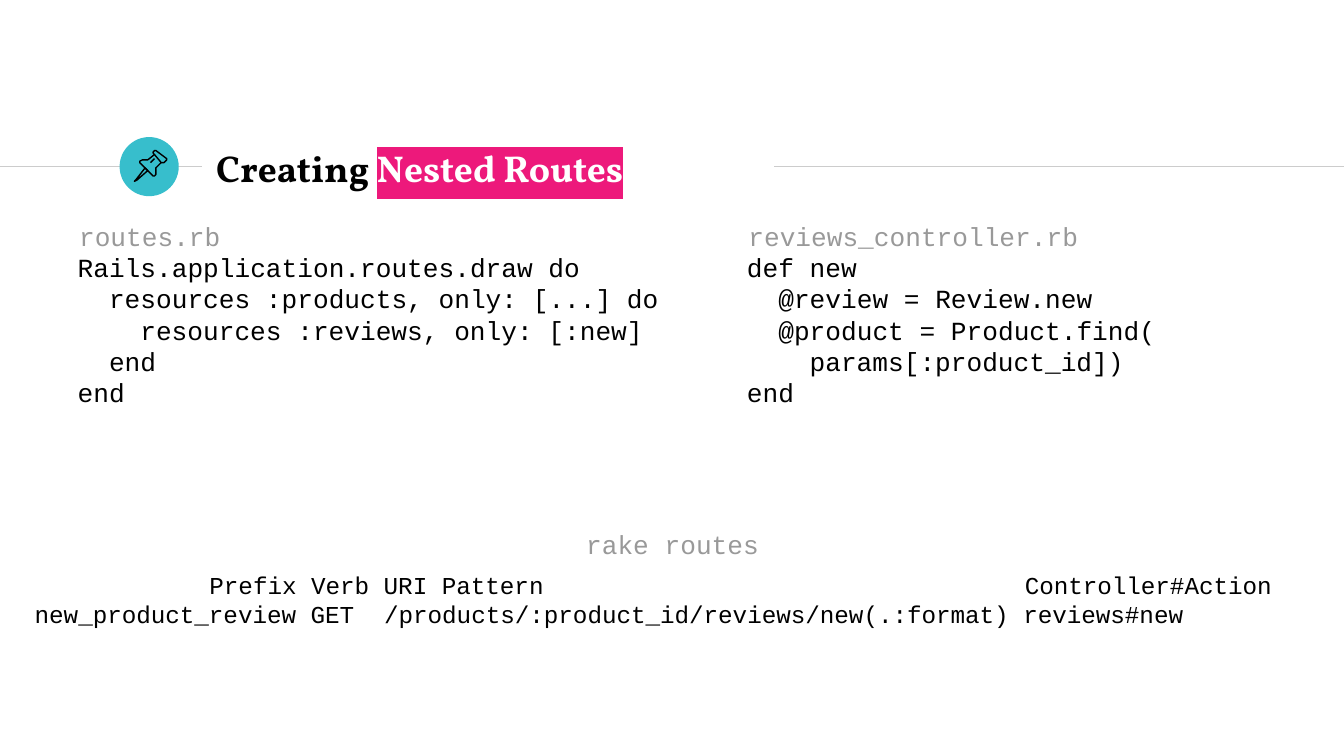
from pptx import Presentation
from pptx.dml.color import RGBColor
from pptx.enum.shapes import MSO_CONNECTOR, MSO_SHAPE
from pptx.enum.text import MSO_ANCHOR, PP_ALIGN
from pptx.oxml.ns import qn
from pptx.util import Inches, Pt
from lxml import etree

LINE, OVAL = MSO_CONNECTOR.STRAIGHT, MSO_SHAPE.OVAL
TOP, MIDDLE = MSO_ANCHOR.TOP, MSO_ANCHOR.MIDDLE
LEFT, CENTER = PP_ALIGN.LEFT, PP_ALIGN.CENTER

COLORS = {"ink": "000000", "white": "FFFFFF", "pink": "ED197B",
          "teal": "37BECC", "rule": "CCCCCC", "label": "999999"}
MONO, SERIF = "Courier New", "Vollkorn"
CHAR = 0.6  # width of a monospaced letter, as a share of its size

# Pin outlines in hundredths of an inch from the badge corner: points, closed
PIN = [
    ([(19, 23), (12, 32), (11, 33), (13, 32), (21, 25)], True),
    ([(26, 13), (31, 19), (33, 19), (35, 17), (35, 16), (27, 10), (26, 10),
      (25, 11), (25, 12)], True),
    ([(26, 13), (21, 17), (19, 17), (17, 17), (15, 18), (15, 19), (25, 29),
      (26, 29), (27, 28), (27, 24), (27, 23), (31, 19)], False),
    ([(23, 19), (26, 16)], False),
]


def rgb(name):
    return RGBColor.from_string(COLORS[name])


def add_text(slide, box, anchor=TOP):
    frame = slide.shapes.add_textbox(*map(Inches, box)).text_frame
    form = {"word_wrap": True, "vertical_anchor": anchor}
    for side in ("left", "right", "top", "bottom"):
        form["margin_" + side] = Inches(0.1)
    for key, value in form.items():
        setattr(frame, key, value)
    return frame


def add_run(para, text, size, color="ink", face=MONO, bold=False):
    run = para.add_run()
    run.text = text
    for key, value in {"size": Pt(size), "name": face, "bold": bold}.items():
        setattr(run.font, key, value)
    run.font.color.rgb = rgb(color)
    return run


def mark(run, color):
    """Put a highlight behind the run."""
    light = etree.Element(qn("a:highlight"))
    etree.SubElement(light, qn("a:srgbClr")).set("val", COLORS[color])
    run.font._element.find(qn("a:solidFill")).addnext(light)


def add_lines(frame, count):
    return [frame.paragraphs[0]] + [frame.add_paragraph()
                                    for _ in range(count - 1)]


def add_rule(slide, start, end, y):
    rule = slide.shapes.add_connector(
        LINE, Inches(start), Inches(y), Inches(end), Inches(y))
    rule.line.color.rgb = rgb("rule")
    rule.line.width = Pt(0.75)
    etree.SubElement(rule._element.spPr, qn("a:effectLst"))


def add_badge(slide, x, y, size):
    disc = slide.shapes.add_shape(OVAL, *map(Inches, (x, y, size, size)))
    disc.shadow.inherit = False
    disc.fill.solid()
    disc.fill.fore_color.rgb = rgb("teal")
    disc.line.fill.background()
    for points, closed in PIN:
        pen = slide.shapes.build_freeform(*points[0], scale=Inches(0.01))
        pen.add_line_segments(points[1:], close=closed)
        part = pen.convert_to_shape(Inches(x), Inches(y))
        part.shadow.inherit = False
        part.fill.background()
        part.line.color.rgb = rgb("ink")
        part.line.width = Pt(0.75)


def add_header(slide, x, y, width, height):
    mid = y + height / 2 - 0.01
    add_rule(slide, 0, x - 0.01, mid)
    add_badge(slide, x - 0.62, mid - 0.22, 0.44)
    add_rule(slide, x + width + 0.01, 10, mid)
    para = add_text(slide, (x, y, width, height), MIDDLE).paragraphs[0]
    add_run(para, "Creating ", 20, face=SERIF, bold=True)
    mark(add_run(para, "Nested Routes", 20, "white", SERIF, True), "pink")


def add_label(slide, box, text, align=LEFT):
    para = add_text(slide, box).paragraphs[0]
    para.alignment = align
    add_run(para, text, 14, "label")


def add_code(slide, x, y, width, name, lines):
    """Place a file name above its code, given as (depth, text) lines."""
    add_label(slide, (x + 0.01, y, 3.01, 0.23), name)
    frame = add_text(slide, (x, y + 0.23, width, 1.79))
    for para, (depth, text) in zip(add_lines(frame, len(lines)), lines):
        para._p.get_or_add_pPr().set("marL", str(Pt(14 * CHAR * 2 * depth)))
        add_run(para, text, 14)


def add_routes(slide, x, y, width, rows):
    """Place the command and its output; tab stops are in letters."""
    add_label(slide, (x + 3.34, y, 3.01, 0.23), "rake routes", CENTER)
    frame = add_text(slide, (x, y + 0.31, width, 1.79))
    for para, (text, stops) in zip(add_lines(frame, len(rows)), rows):
        tabs = etree.SubElement(para._p.get_or_add_pPr(), qn("a:tabLst"))
        for place in stops:
            tab = etree.SubElement(tabs, qn("a:tab"))
            tab.set("pos", str(Pt(13 * CHAR * place)))
            tab.set("algn", "l")
        add_run(para, text, 13)


def main():
    deck = Presentation()
    deck.slide_width = Inches(10)
    deck.slide_height = deck.slide_width * 9 // 16
    slide = deck.slides.add_slide(deck.slide_layouts[6])
    add_header(slide, 1.51, 1.01, 4.24, 0.48)
    add_code(slide, 0.48, 1.54, 4.7, "routes.rb", [
        (0, "Rails.application.routes.draw do"),
        (1, "resources :products, only: [...] do"),
        (2, "resources :reviews, only: [:new]"),
        (1, "end"),
        (0, "end")])
    add_code(slide, 5.46, 1.54, 4.7, "reviews_controller.rb", [
        (0, "def new"),
        (1, "@review = Review.new"),
        (1, "@product = Product.find("),
        (2, "params[:product_id])"),
        (0, "end")])
    add_routes(slide, 0.16, 3.83, 9.69, [
        ("\tPrefix Verb URI Pattern\tController#Action", [12, 68]),
        ("new_product_review GET\t/products/:product_id/reviews/new(.:format)"
         " reviews#new", [24])])
    deck.save("out.pptx")


if __name__ == "__main__":
    main()
